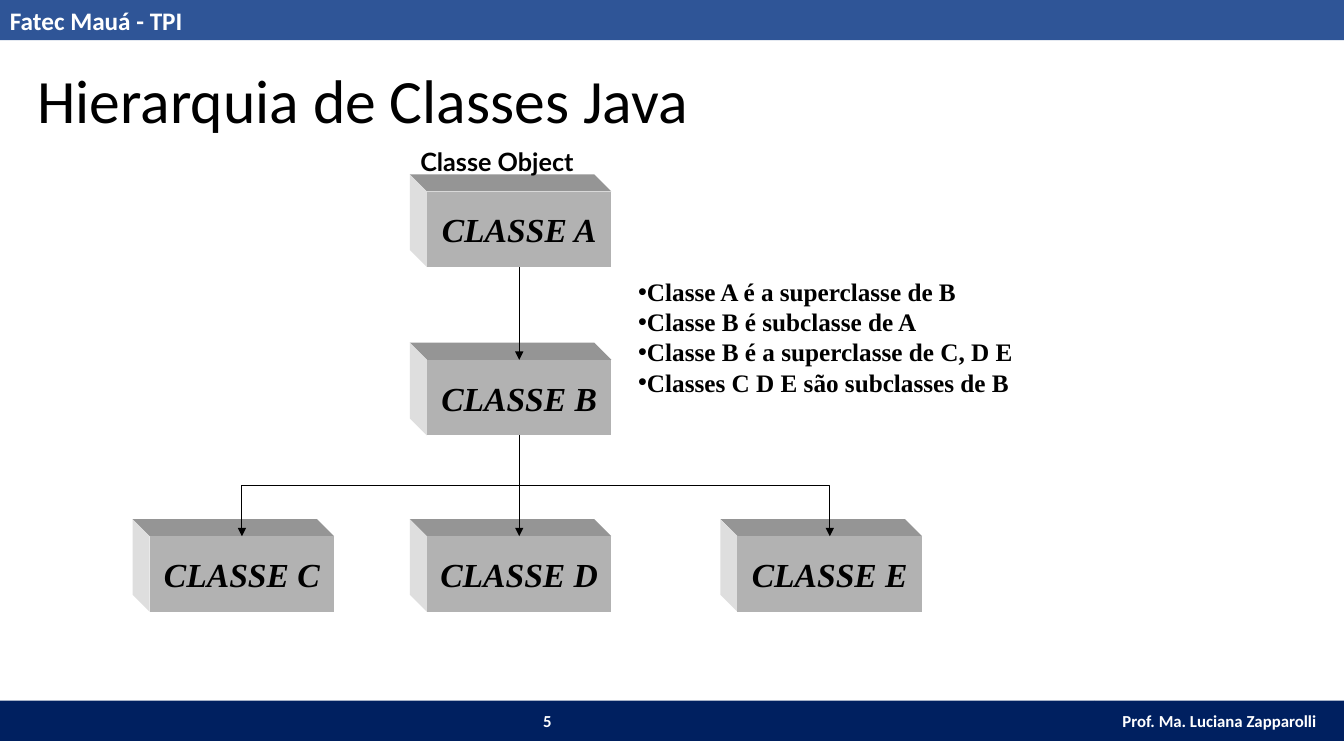
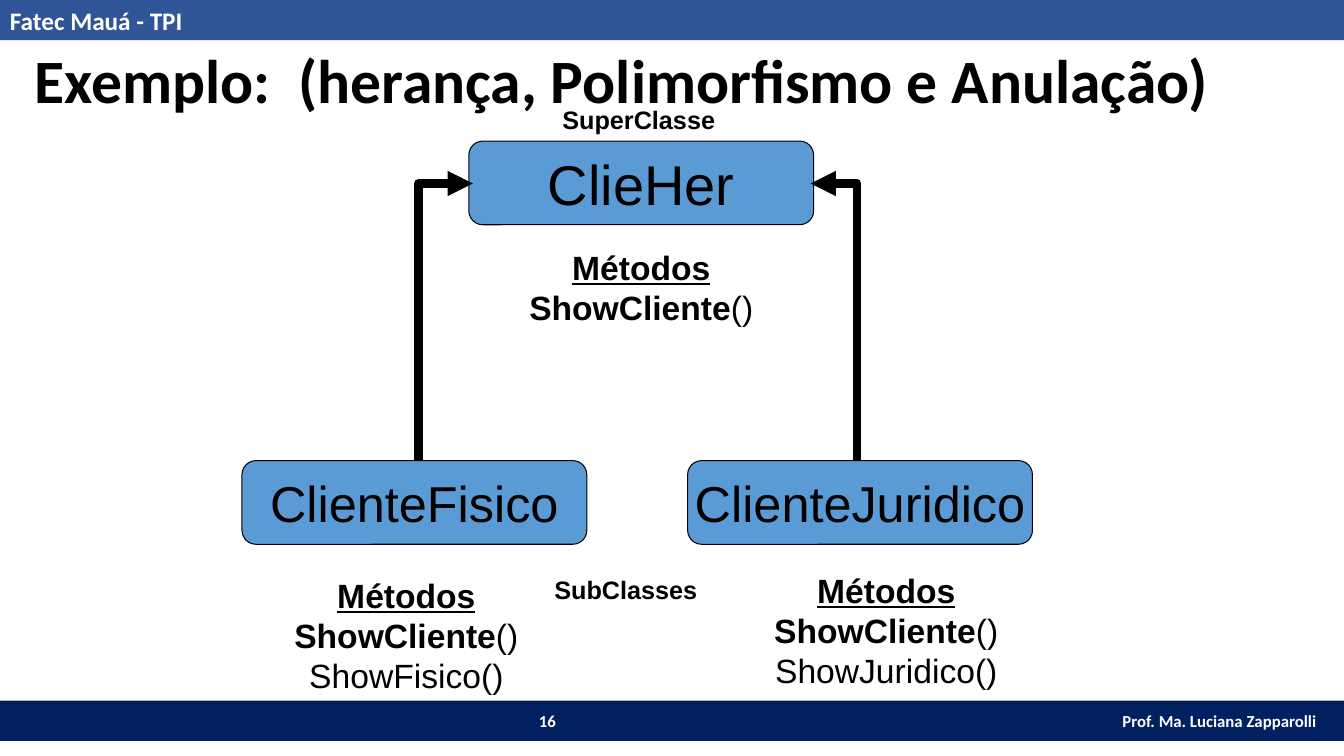
from lxml.etree import SubElement
from pptx import Presentation
from pptx.dml.color import RGBColor
from pptx.enum.shapes import MSO_CONNECTOR, MSO_SHAPE
from pptx.enum.text import MSO_ANCHOR, MSO_AUTO_SIZE, PP_ALIGN
from pptx.oxml.ns import qn
from pptx.util import Inches, Pt

COLORS = {
    "header": "2F5597", "footer": "002060", "white": "FFFFFF", "black": "000000",
    "front": "B2B2B2", "top": "959595", "side": "DEDEDE", "node": "5B9BD5",
}
RGB = {name: RGBColor.from_string(value) for name, value in COLORS.items()}
W, H = 13.33, 7.5
BAND_H, FOOTER_Y, FOOTER_SPLIT = 0.4, 6.95, 10.86


def write(sp, lines, font, size, bold=False, italic=False, color="black",
          align=PP_ALIGN.LEFT, anchor=MSO_ANCHOR.TOP, wrap=True):
    """Fill a shape with evenly formatted paragraphs and return its text frame."""
    tf = sp.text_frame
    tf.text = "\n".join(lines)
    tf.word_wrap, tf.auto_size, tf.vertical_anchor = wrap, MSO_AUTO_SIZE.NONE, anchor
    for p in tf.paragraphs:
        p.alignment = align
        p.space_before = Pt(0)
        p.font.name, p.font.size = font, Pt(size)
        p.font.bold, p.font.italic = bold, italic
        p.font.color.rgb = RGB[color]
    return tf


def add_arrow(slide, x1, y1, x2, y2, width, elbow="bentConnector3"):
    """Draw an arrow that leaves vertically, bent when its ends are not aligned."""
    dx, dy = x2 - x1, y2 - y1
    if dx == 0:
        line = slide.shapes.add_connector(
            MSO_CONNECTOR.STRAIGHT, Inches(x1), Inches(y1), Inches(x2), Inches(y2))
    else:
        w, h = abs(dy), abs(dx)
        left, top = (x1 + x2 - w) / 2, (y1 + y2 - h) / 2
        line = slide.shapes.add_connector(
            MSO_CONNECTOR.ELBOW, Inches(left), Inches(top), Inches(left + w), Inches(top + h))
        xfrm = line.element.spPr.find(qn("a:xfrm"))
        xfrm.set("rot", str((90 if dx < 0 else 270) * 60000))
        if (dx < 0) != (dy > 0):
            xfrm.set("flipH", "1")
        line.element.spPr.find(qn("a:prstGeom")).set("prst", elbow)
    line.line.color.rgb = RGB["black"]
    line.line.width = Pt(width)
    SubElement(line.line._get_or_add_ln(), qn("a:tailEnd"), type="triangle")
    SubElement(line.element.spPr, qn("a:effectLst"))


prs = Presentation()
prs.slide_width, prs.slide_height = Inches(W), Inches(H)

# Titles and bands: layout, number, title, bold, left, top
pages = [
    (1, "5", "Hierarquia de Classes Java", False, 0.27, 0.56),
    (5, "16", "Exemplo:  (herança, Polimorfismo e Anulação)", True, 0.24, 0.37),
]
slides = []
for layout, number, title, bold, left, top in pages:
    s = prs.slides.add_slide(prs.slide_layouts[layout])
    slides.append(s)
    bands = [
        ("header", 0, 0, W, "Fatec Mauá - TPI", 18, PP_ALIGN.LEFT),
        ("footer", FOOTER_SPLIT, FOOTER_Y, W - FOOTER_SPLIT,
         "Prof. Ma. Luciana Zapparolli", 12, PP_ALIGN.CENTER),
        ("footer", 0, FOOTER_Y, FOOTER_SPLIT, number, 12, PP_ALIGN.CENTER),
    ]
    for color, x, y, w, text, size, align in bands:
        sp = s.shapes.add_shape(
            MSO_SHAPE.RECTANGLE, Inches(x), Inches(y), Inches(w), Inches(BAND_H))
        sp.shadow.inherit = False
        sp.fill.solid()
        sp.fill.fore_color.rgb = RGB[color]
        sp.line.fill.background()
        write(sp, [text], "Calibri", size, bold=True, color="white", align=align,
              anchor=MSO_ANCHOR.MIDDLE)
    sp = s.shapes.title
    sp.left, sp.top, sp.width, sp.height = Inches(left), Inches(top), Inches(12.68), Inches(0.84)
    write(sp, [title], "Calibri", 44, bold=bold)

# Class hierarchy
s = slides[0]
BOX_W, BOX_H, DEPTH = 1.83, 0.75, 0.17
cols = [2.4, 5.15, 8.23]
rows = [1.9, 3.57, 5.32]
boxes = [("A", 1, 0), ("B", 1, 1), ("C", 0, 2), ("D", 1, 2), ("E", 2, 2)]
for letter, col, row in boxes:
    x, y = cols[col] - BOX_W / 2, rows[row]
    right, bottom = x + BOX_W, y + BOX_H
    faces = [
        ("top", [(x, y), (right, y), (right - DEPTH, y - DEPTH), (x - DEPTH, y - DEPTH)]),
        ("side", [(x, y), (x, bottom), (x - DEPTH, bottom - DEPTH), (x - DEPTH, y - DEPTH)]),
    ]
    parts = []
    for color, corners in faces:
        points = [(Inches(px), Inches(py)) for px, py in corners]
        outline = s.shapes.build_freeform(*points[0])
        outline.add_line_segments(points[1:], close=True)
        parts.append((color, outline.convert_to_shape()))
    front = s.shapes.add_shape(MSO_SHAPE.FLOWCHART_PROCESS, Inches(x), Inches(y),
                               Inches(BOX_W), Inches(BOX_H))
    parts.append(("front", front))
    for color, sp in parts:
        sp.shadow.inherit = False
        sp.fill.solid()
        sp.fill.fore_color.rgb = RGB[color]
        sp.line.fill.background()
    write(front, [f"CLASSE {letter}"], "Times New Roman", 24, bold=True, italic=True,
          align=PP_ALIGN.CENTER, anchor=MSO_ANCHOR.MIDDLE, wrap=False)

add_arrow(s, cols[1], rows[0] + BOX_H, cols[1], rows[1], 0.75)
for x in cols:
    add_arrow(s, cols[1], rows[1] + BOX_H, x, rows[2], 0.75)

sp = s.placeholders[1]
sp.left, sp.top, sp.width, sp.height = Inches(6.23), Inches(2.69), Inches(4.08), Inches(1.3)
tf = write(sp, ["Classe A é a superclasse de B", "Classe B é subclasse de A",
                "Classe B é a superclasse de C, D E", "Classes C D E são subclasses de B"],
           "Times New Roman", 18, bold=True)
for p in tf.paragraphs:
    pPr = p._p.get_or_add_pPr()
    pPr.set("marL", "0")
    pPr.set("indent", "0")

# Inheritance example
s = slides[1]
NODE_W, NODE_H = 3.42, 0.83
nodes = [("ClieHer", 4.65, 1.4, 40), ("ClienteFisico", 2.4, 4.57, 36),
         ("ClienteJuridico", 6.82, 4.57, 36)]
for name, x, y, size in nodes:
    sp = s.shapes.add_shape(MSO_SHAPE.FLOWCHART_ALTERNATE_PROCESS, Inches(x), Inches(y),
                            Inches(NODE_W), Inches(NODE_H))
    sp.shadow.inherit = False
    sp.fill.solid()
    sp.fill.fore_color.rgb = RGB["node"]
    sp.line.color.rgb = RGB["black"]
    sp.line.width = Pt(0.75)
    write(sp, [name], "Arial", size, align=PP_ALIGN.CENTER, anchor=MSO_ANCHOR.MIDDLE, wrap=False)

methods = [(7.57, 5.6, 2.44, 1.31, ["ShowJuridico()"]),
           (2.82, 5.65, 2.42, 1.3, ["ShowFisico()"]),
           (5.15, 2.4, 2.42, 0.9, [])]
for x, y, w, h, own in methods:
    sp = s.shapes.add_textbox(Inches(x), Inches(y), Inches(w), Inches(h))
    tf = write(sp, ["Métodos", "ShowCliente"] + own, "Arial", 24,
               align=PP_ALIGN.CENTER, wrap=False)
    heading, shared = tf.paragraphs[:2]
    heading.font.bold = heading.font.underline = True
    shared.runs[0].font.bold = True
    r = shared.add_run()
    r.text = "()"

for x1, x2 in [(4.15, 4.69), (8.5, 8.04)]:
    add_arrow(s, x1, 4.57, x2, 1.82, 6, "bentConnector2")

# Captions beside the diagrams
captions = [(slides[0], "Classe Object", "Lato", 4.07, 1.4, 1.9),
            (slides[1], "SuperClasse", "Arial", 5.48, 0.99, 1.72),
            (slides[1], "SubClasses", "Arial", 5.4, 5.65, 1.62)]
for s, text, font, x, y, w in captions:
    sp = s.shapes.add_textbox(Inches(x), Inches(y), Inches(w), Inches(0.4))
    write(sp, [text], font, 18, bold=True, wrap=False)

prs.save("out.pptx")
